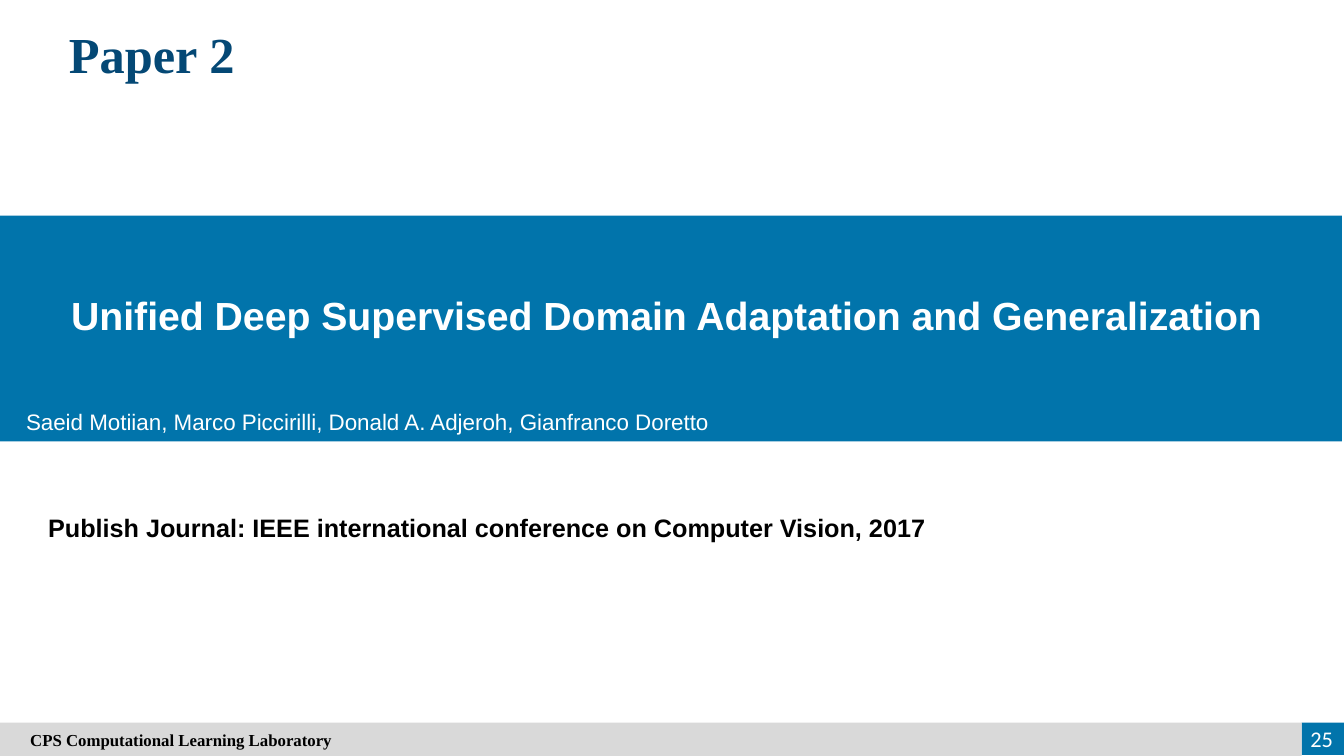
from dataclasses import dataclass

from pptx import Presentation
from pptx.dml.color import RGBColor
from pptx.enum import shapes, text
from pptx.util import Inches, Pt


@dataclass(frozen=True)
class Theme:
    blue: str = "0174AB"
    navy: str = "044875"
    grey: str = "D9D9D9"
    white: str = "FFFFFF"
    black: str = "000000"
    sans: str = "Arial"
    serif: str = "Times New Roman"
    number: str = "Calibri"
    heading_size: int = 36
    title_size: int = 28
    journal_size: int = 18
    detail_size: int = 16
    footer_size: int = 12


THEME = Theme()
ALIGN = text.PP_ALIGN
ANCHOR = text.MSO_ANCHOR


@dataclass(frozen=True)
class Box:
    left: float
    top: float
    width: float
    height: float

    def lengths(self) -> tuple:
        return tuple(Inches(v) for v in (self.left, self.top, self.width, self.height))


@dataclass(frozen=True)
class Label:
    wording: str
    size: int
    color: str
    font: str = THEME.sans
    bold: bool = False
    align: ALIGN = ALIGN.LEFT
    anchor: ANCHOR = ANCHOR.TOP
    line_spacing: float = 1.0
    inset: float = 0.1


def write(shape, label: Label) -> None:
    frame = shape.text_frame
    frame.word_wrap = True
    frame.vertical_anchor = label.anchor
    frame.margin_left = Inches(label.inset)
    paragraph = frame.paragraphs[0]
    paragraph.alignment = label.align
    paragraph.line_spacing = label.line_spacing
    run = paragraph.add_run()
    run.text = label.wording
    run.font.name = label.font
    run.font.size = Pt(label.size)
    run.font.bold = label.bold
    run.font.color.rgb = RGBColor.from_string(label.color)


def add_panel(slide, box: Box, fill: str):
    panel = slide.shapes.add_shape(shapes.MSO_SHAPE.RECTANGLE, *box.lengths())
    panel.shadow.inherit = False
    panel.fill.solid()
    panel.fill.fore_color.rgb = RGBColor.from_string(fill)
    panel.line.fill.background()
    return panel


def add_label(slide, box: Box, label: Label) -> None:
    write(slide.shapes.add_textbox(*box.lengths()), label)


LABELS = (
    (Box(-0.66, 2.65, 14.65, 0.72),
     Label("Unified Deep Supervised Domain Adaptation and Generalization ",
           THEME.title_size, THEME.white, bold=True, align=ALIGN.CENTER,
           anchor=ANCHOR.MIDDLE, line_spacing=1.5)),
    (Box(0.16, 4, 13.7, 0.37),
     Label("Saeid Motiian, Marco Piccirilli, Donald A. Adjeroh, Gianfranco Doretto",
           THEME.detail_size, THEME.white)),
    (Box(0.38, 0.18, 2.25, 0.71),
     Label("Paper 2", THEME.heading_size, THEME.navy, THEME.serif, True, ALIGN.CENTER)),
    (Box(12.69, 7.13, 0.63, 0.4),
     Label("25", THEME.detail_size, THEME.white, THEME.number,
           align=ALIGN.RIGHT, anchor=ANCHOR.MIDDLE)),
    (Box(0.38, 5.03, 9.57, 0.4),
     Label("Publish Journal: IEEE international conference on Computer Vision, 2017",
           THEME.journal_size, THEME.black, bold=True)),
)


def main() -> None:
    deck = Presentation()
    deck.slide_width, deck.slide_height = Inches(13.33), Inches(7.5)
    slide = deck.slides.add_slide(deck.slide_layouts[6])

    add_panel(slide, Box(-0.08, 2.14, 13.39, 2.24), THEME.blue)
    add_panel(slide, Box(12.91, 7.17, 0.42, 0.32), THEME.blue)
    footer = add_panel(slide, Box(0, 7.17, 12.91, 0.33), THEME.grey)
    write(footer, Label("CPS Computational Learning Laboratory", THEME.footer_size,
                        THEME.black, THEME.serif, True,
                        anchor=ANCHOR.MIDDLE, inset=0.3))

    for box, label in LABELS:
        add_label(slide, box, label)

    deck.save("out.pptx")


if __name__ == "__main__":
    main()
